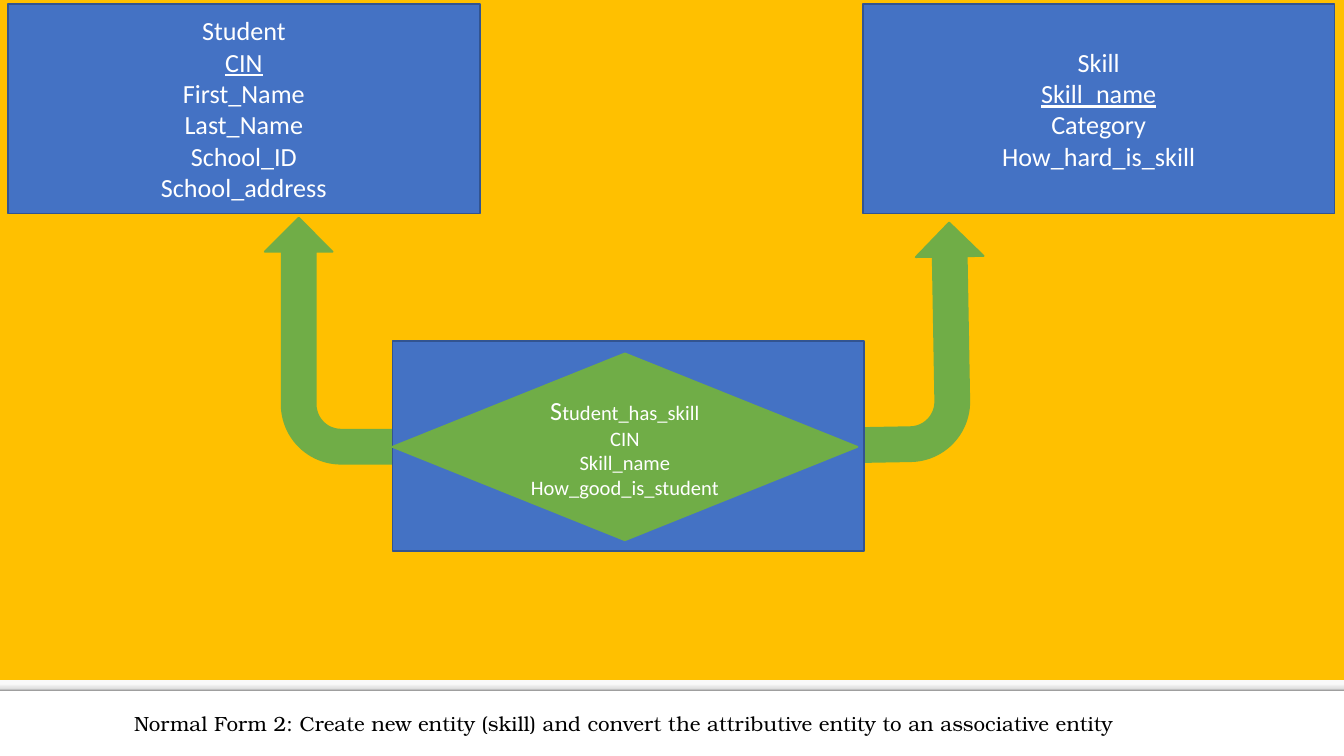
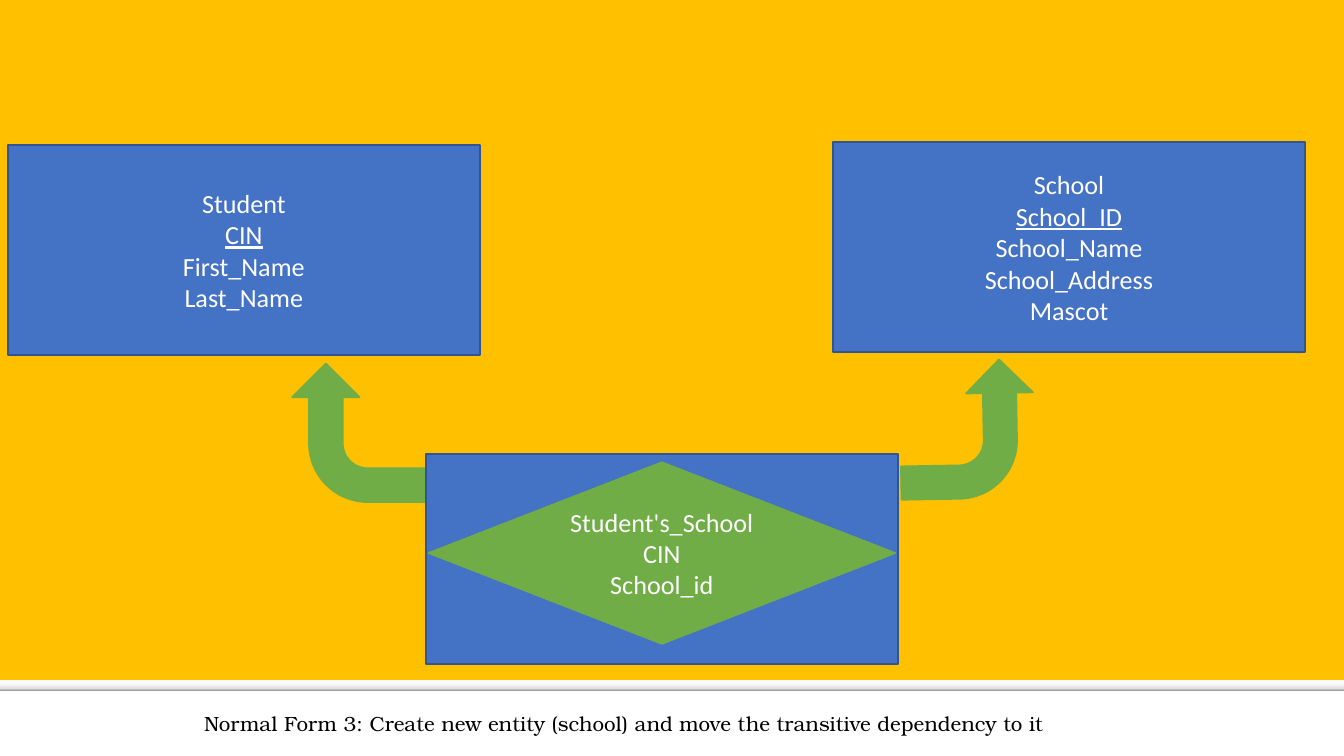
from copy import deepcopy
from dataclasses import dataclass

from pptx import Presentation
from pptx.dml.color import RGBColor
from pptx.enum.shapes import MSO_SHAPE
from pptx.enum.text import MSO_ANCHOR, PP_ALIGN
from pptx.util import Inches, Pt


@dataclass(frozen=True)
class Theme:
    """Colours, fonts and type sizes shared by the slides."""

    backdrop: str = "FFC000"
    entity: str = "4472C4"
    entity_line: str = "325491"
    relation: str = "70AD47"
    light: str = "FFFFFF"
    dark: str = "000000"
    edge: tuple = ((0, "F9F9F9"), (0.36, "F9F9F9"), (0.8, "DEDEDE"), (1, "999999"))
    body_font: str = "Calibri"
    caption_font: str = "TeX Gyre Bonum"
    body: int = 14
    small: int = 11


THEME = Theme()
WIDTH, HEIGHT = Inches(10), Inches(5.625)
ENTITY_WIDTH, ENTITY_HEIGHT = 35.1, 27.73
BAND_TOP, BAND_BOTTOM = 89.96, 91.38


def color(code):
    """Turn a hex code into a colour."""
    return RGBColor.from_string(code)


def area(left, top, width, height):
    """Turn percentages of the slide into lengths."""
    return [int(share * full / 100) for share, full in
            zip((left, top, width, height), (WIDTH, HEIGHT, WIDTH, HEIGHT))]


def add_block(page, kind, box, fill, line=None):
    """Add a flat preset shape, outlined when a line colour is given."""
    shape = page.shapes.add_shape(kind, *box)
    shape.shadow.inherit = False
    shape.fill.solid()
    shape.fill.fore_color.rgb = color(fill)
    if line:
        shape.line.color.rgb = color(line)
        shape.line.width = Pt(1)
    else:
        shape.line.fill.background()
    return shape


def style(font, size, name=THEME.body_font, ink=THEME.light):
    """Set the size, family and colour of a font."""
    font.size, font.name = Pt(size), name
    font.color.rgb = color(ink)


def write(shape, rows, size=THEME.body, key=None):
    """Write centred rows and underline the key."""
    frame = shape.text_frame
    frame.word_wrap = True
    frame.vertical_anchor = MSO_ANCHOR.MIDDLE
    for index, row in enumerate(rows):
        para = frame.add_paragraph() if index else frame.paragraphs[0]
        para.alignment = PP_ALIGN.CENTER
        para.add_run().text = row
        style(para.font, size)
        if row == key:
            para.font.underline = True


def add_edge(page):
    """Add the shaded strip under the backdrop."""
    box = area(0, BAND_TOP, 100, BAND_BOTTOM - BAND_TOP)
    strip = add_block(page, MSO_SHAPE.RECTANGLE, box, THEME.light)
    strip.fill.gradient()
    strip.fill.gradient_angle = 270
    stops = strip.fill.gradient_stops
    first = stops[0]._gs
    for _ in range(len(THEME.edge) - len(stops)):
        first.addnext(deepcopy(first))
    for stop, (position, code) in zip(strip.fill.gradient_stops, THEME.edge):
        stop.position = position
        stop.color.rgb = color(code)


def add_caption(page, text):
    """Add the caption below the backdrop."""
    box = page.shapes.add_textbox(*area(0.6, BAND_BOTTOM, 91.7, 100 - BAND_BOTTOM))
    frame = box.text_frame
    frame.margin_top = frame.margin_bottom = Inches(0.1)
    write(box, [text])
    style(frame.paragraphs[0].font, THEME.small, THEME.caption_font, THEME.dark)


def add_page(deck, caption):
    """Add a slide with its backdrop, strip and caption."""
    page = deck.slides.add_slide(deck.slide_layouts[6])
    add_block(page, MSO_SHAPE.RECTANGLE, area(0, 0, 100, BAND_BOTTOM), THEME.backdrop)
    add_edge(page)
    add_caption(page, caption)
    return page


def add_entity(page, left, top, rows=()):
    """Add an entity whose second row is its key."""
    box = area(left, top, ENTITY_WIDTH, ENTITY_HEIGHT)
    shape = add_block(page, MSO_SHAPE.RECTANGLE, box, THEME.entity, THEME.entity_line)
    if rows:
        write(shape, rows, key=rows[1])


def add_relation(page, left, top, width, height, rows, size=THEME.body):
    """Add a relationship diamond."""
    box = area(left, top, width, height)
    shape = add_block(page, MSO_SHAPE.FLOWCHART_DECISION, box, THEME.relation, THEME.relation)
    write(shape, rows, size)
    return shape


def enlarge_initial(shape):
    """Set the first letter of a shape's text at body size."""
    para = shape.text_frame.paragraphs[0]
    initial = para.runs[0]
    rest = para.add_run()
    initial.text, rest.text = initial.text[0], initial.text[1:]
    initial.font.size = Pt(THEME.body)


def add_bend(page, left, top, width, height, mirrored=False):
    """Add an upward bent arrow that fills the given area."""
    x, y, across, tall = area(left, top, width, height)
    shift = (tall - across) // 2
    box = x - shift, y + shift, tall, across
    arrow = add_block(page, MSO_SHAPE.BENT_ARROW, box, THEME.relation, THEME.relation)
    arrow.rotation = 89 if mirrored else 270
    if mirrored:
        arrow._element.spPr.xfrm.set("flipH", "1")


def add_second_form(deck):
    """Add the slide on the second normal form."""
    page = add_page(deck, "Normal Form 2: Create new entity (skill) and convert "
                          "the attributive entity to an associative entity")
    add_entity(page, 0.6, 0.53, ["Student", "CIN", "First_Name", "Last_Name",
                                 "School_ID", "School_address"])
    add_entity(page, 64.2, 0.53, ["Skill", "Skill_name", "Category", "How_hard_is_skill"])
    add_bend(page, 19.7, 28.8, 10.1, 32.53)
    add_bend(page, 63.2, 29.51, 10.1, 31.47, mirrored=True)
    add_entity(page, 29.2, 45.16)
    diamond = add_relation(page, 29.2, 46.76, 34.6, 24.71,
                           ["Student_has_skill", "CIN", "Skill_name", "How_good_is_student"],
                           THEME.small)
    enlarge_initial(diamond)


def add_third_form(deck):
    """Add the slide on the third normal form."""
    page = add_page(deck, "Normal Form 3: Create new entity (school) and move "
                          "the transitive dependency to it")
    add_entity(page, 0.6, 19.2, ["Student", "CIN", "First_Name", "Last_Name"])
    add_entity(page, 62, 18.84, ["School", "School_ID", "School_Name",
                                 "School_Address", "Mascot"])
    add_bend(page, 21.75, 48.09, 10, 18.31)
    add_bend(page, 67, 47.64, 9.9, 18.31, mirrored=True)
    add_entity(page, 31.7, 60.09)
    add_relation(page, 31.9, 61.16, 34.7, 24, ["Student's_School", "CIN", "School_id"])


def main():
    """Build and save the deck."""
    deck = Presentation()
    deck.slide_width, deck.slide_height = WIDTH, HEIGHT
    add_second_form(deck)
    add_third_form(deck)
    deck.save("out.pptx")


if __name__ == "__main__":
    main()
